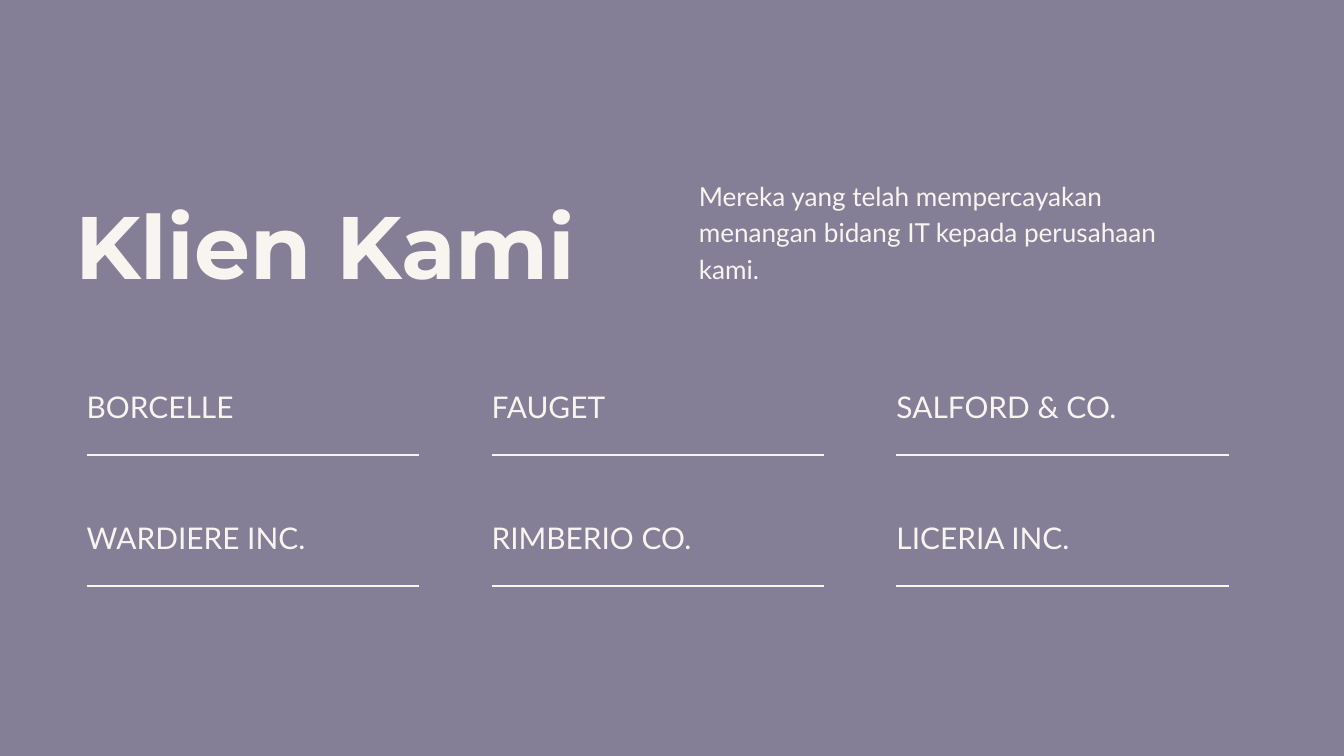
"""Build the "Klien Kami" client list slide."""
from dataclasses import dataclass

from lxml.etree import SubElement
from pptx import Presentation
from pptx.dml.color import RGBColor
from pptx.enum.shapes import MSO_CONNECTOR
from pptx.enum.text import MSO_AUTO_SIZE
from pptx.oxml.ns import qn
from pptx.slide import Slide
from pptx.util import Pt

PURPLE = RGBColor(0x84, 0x7E, 0x96)
CREAM = RGBColor(0xF8, 0xF4, 0xEF)

GRID_LEFT, GRID_TOP = 92.9, 410.3
COLUMN_STEP, ROW_STEP = 433.8, 140
NAME_WIDTH, NAME_HEIGHT = 386, 43.2
RULE_WIDTH, RULE_DROP = 356.4, 77.4

CLIENTS = (
    ("BORCELLE", "FAUGET", "SALFORD & CO."),
    ("WARDIERE INC.", "RIMBERIO CO.", "LICERIA INC."),
)


@dataclass(frozen=True)
class Label:
    text: str
    left: float
    top: float
    width: float
    height: float
    size: float
    leading: float
    font: str = "Lato"
    bold: bool = False


def add_label(s: Slide, label: Label) -> None:
    sp = s.shapes.add_textbox(
        Pt(label.left), Pt(label.top), Pt(label.width), Pt(label.height)
    )
    tf = sp.text_frame
    tf.margin_left = tf.margin_top = tf.margin_right = tf.margin_bottom = 0
    tf.word_wrap = True
    tf.auto_size = MSO_AUTO_SIZE.SHAPE_TO_FIT_TEXT
    p = tf.paragraphs[0]
    p.text = label.text
    p.line_spacing = Pt(label.leading)
    p.font.name = label.font
    p.font.size = Pt(label.size)
    p.font.bold = label.bold
    p.font.color.rgb = CREAM


def add_rule(s: Slide, left: float, top: float) -> None:
    rule = s.shapes.add_connector(
        MSO_CONNECTOR.STRAIGHT, Pt(left), Pt(top), Pt(left + RULE_WIDTH), Pt(top)
    )
    rule.line.color.rgb = CREAM
    rule.line.width = Pt(1.5)
    SubElement(rule._element.spPr, qn("a:effectLst"))


def add_client(s: Slide, name: str, column: int, row: int) -> None:
    left = GRID_LEFT + column * COLUMN_STEP
    top = GRID_TOP + row * ROW_STEP
    add_label(s, Label(name, left, top, NAME_WIDTH, NAME_HEIGHT, 32, 44.8))
    add_rule(s, left, top + RULE_DROP)


def main() -> None:
    prs = Presentation()
    prs.slide_width, prs.slide_height = Pt(1440), Pt(810)
    s = prs.slides.add_slide(prs.slide_layouts[6])
    s.background.fill.solid()
    s.background.fill.fore_color.rgb = PURPLE

    add_label(
        s, Label("Klien Kami", 80.6, 204.5, 651, 113, 95, 114, "Montserrat", True)
    )
    intro = "Mereka yang telah mempercayakan menangan bidang IT kepada perusahaan kami."
    add_label(s, Label(intro, 748.8, 187.2, 544.3, 116.6, 28, 39.2))

    for row, names in enumerate(CLIENTS):
        for column, name in enumerate(names):
            add_client(s, name, column, row)

    prs.save("out.pptx")


if __name__ == "__main__":
    main()
